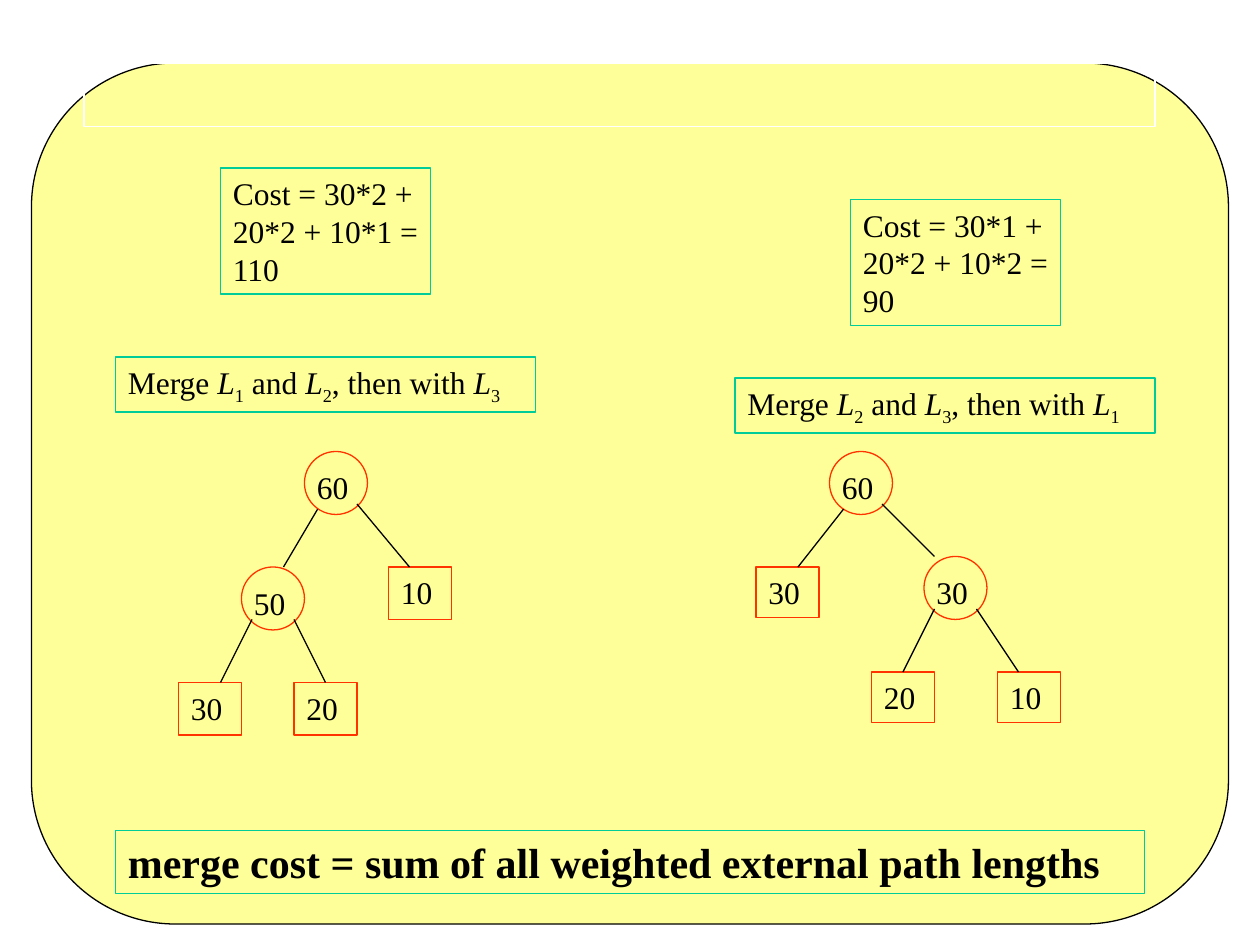
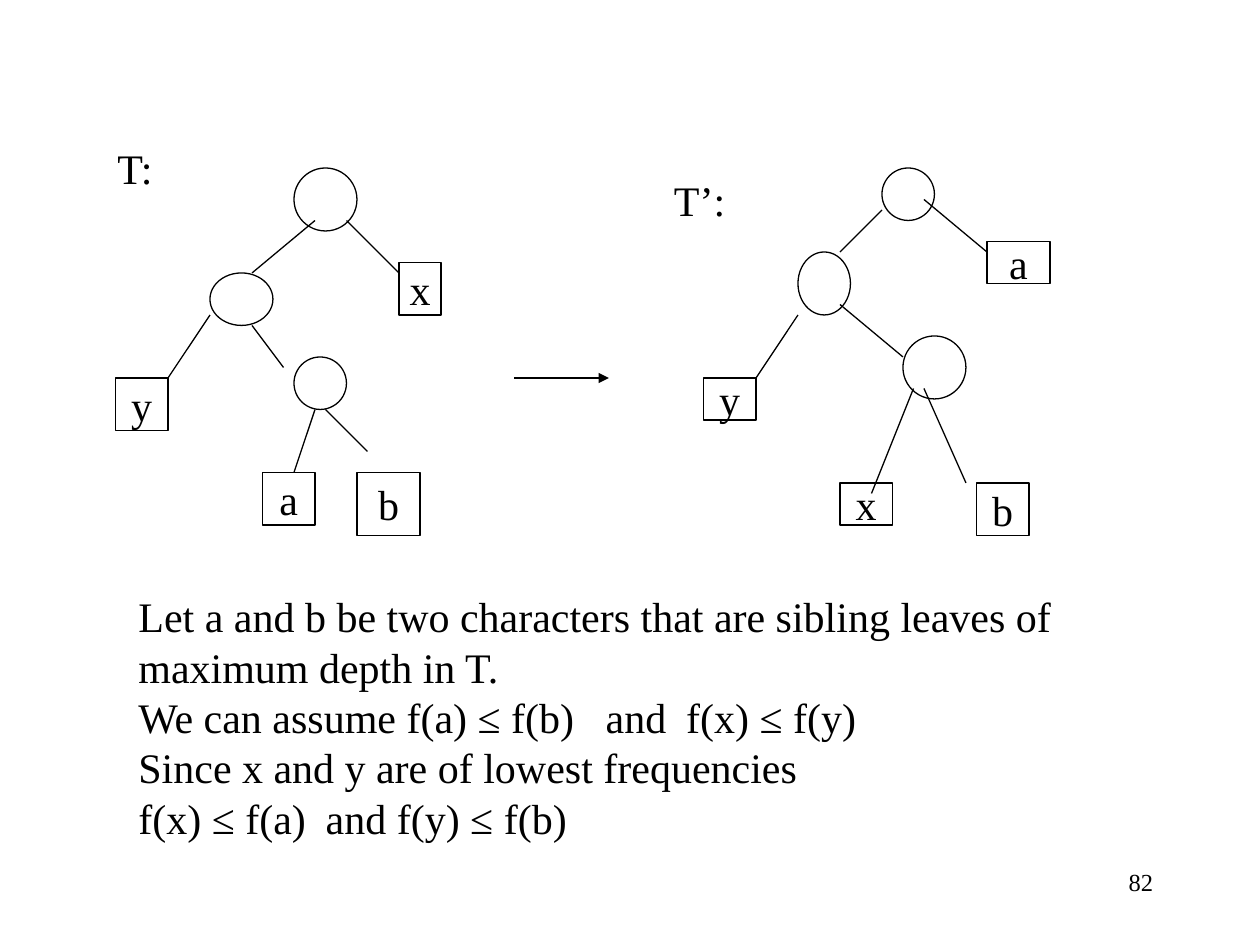
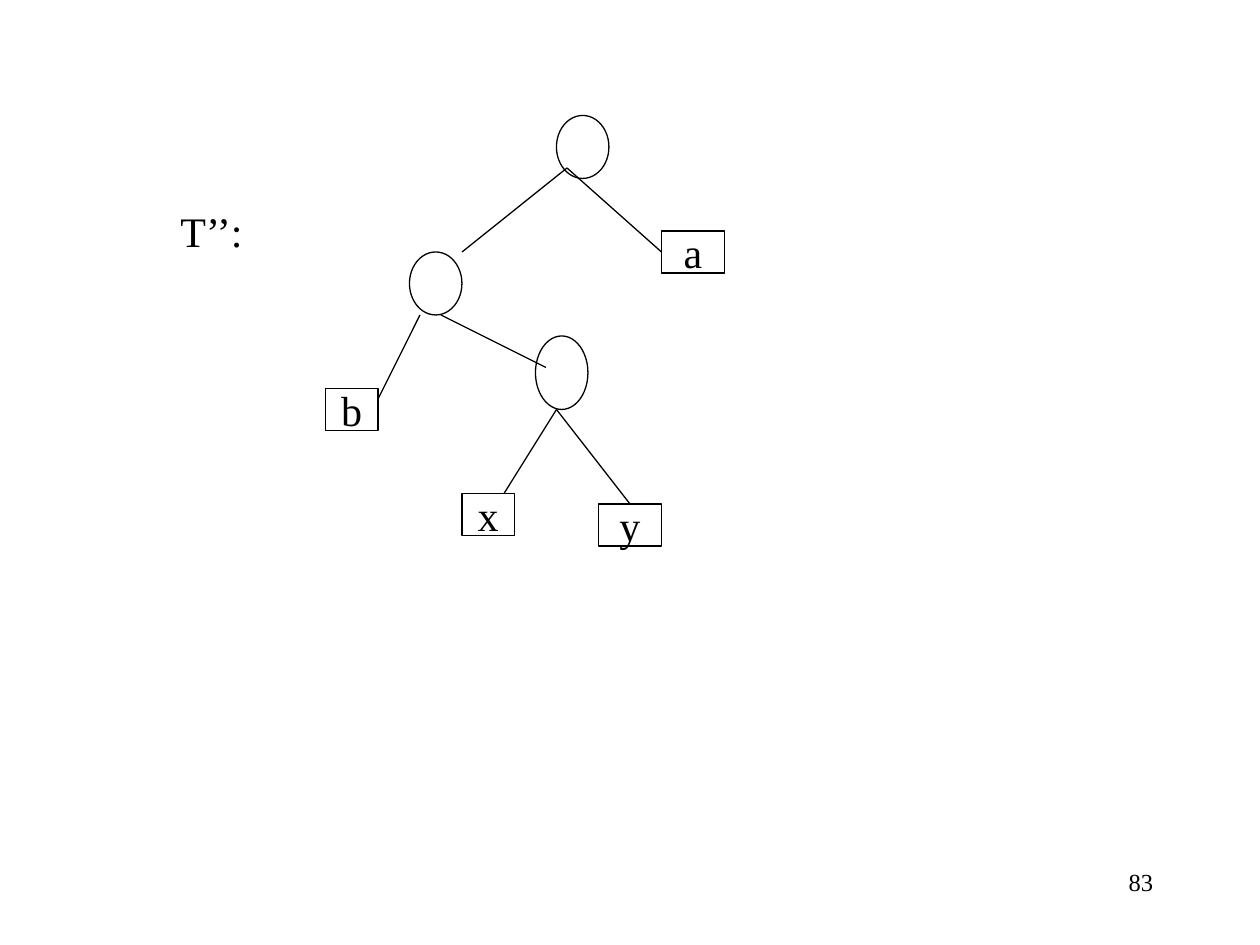
from lxml import etree
from pptx import Presentation
from pptx.dml.color import RGBColor
from pptx.enum import shapes, text
from pptx.oxml import ns
from pptx.util import Pt

COLORS = {"ink": "000000", "paper": "FFFFFF", "panel": "FFFF99",
          "node": "FF3300", "note": "00CC99"}
FONT = "Times New Roman"
RECT = shapes.MSO_SHAPE.RECTANGLE
OVAL = shapes.MSO_SHAPE.OVAL
ROUND = shapes.MSO_SHAPE.ROUNDED_RECTANGLE
LEFT, CENTER, RIGHT = text.PP_ALIGN.LEFT, text.PP_ALIGN.CENTER, text.PP_ALIGN.RIGHT
TOP, MIDDLE = text.MSO_ANCHOR.TOP, text.MSO_ANCHOR.MIDDLE


def rgb(name):
    """Look up a named colour."""
    return RGBColor.from_string(COLORS[name])


def put_text(sp, *paras, size=18, bold=False, align=LEFT, anchor=TOP, wrap=True, tabs=()):
    """Fill a shape with paragraphs, each a string or a list of (text, style) runs."""
    tf = sp.text_frame
    tf.word_wrap, tf.vertical_anchor = wrap, anchor
    for i, para in enumerate(paras):
        p = tf.paragraphs[0] if i == 0 else tf.add_paragraph()
        p.alignment = align
        for words, style in [(para, "")] if isinstance(para, str) else para:
            r = p.add_run()
            r.text = words
            r.font.name, r.font.size, r.font.bold = FONT, Pt(size), bold
            r.font.color.rgb = rgb("ink")
            r.font.italic = style == "italic"
            if style == "sub":
                r.font._element.set("baseline", "-25000")
        if "\t" in p.text:
            stops = etree.SubElement(p._p.get_or_add_pPr(), ns.qn("a:tabLst"))
            for stop in tabs:
                etree.SubElement(stops, ns.qn("a:tab"), pos=str(Pt(stop)), algn="l")


def add_box(s, kind, x, y, w, h, line="ink", fill=None):
    """Add an outlined preset shape, unfilled unless a fill is named."""
    sp = s.shapes.add_shape(kind, Pt(x), Pt(y), Pt(w), Pt(h))
    sp.shadow.inherit = False
    sp.line.color.rgb, sp.line.width = rgb(line), Pt(0.75)
    if fill:
        sp.fill.solid()
        sp.fill.fore_color.rgb = rgb(fill)
    else:
        sp.fill.background()
    return sp


def add_label(s, x, y, w, h, *paras, **fmt):
    """Add a plain text box."""
    put_text(s.shapes.add_textbox(Pt(x), Pt(y), Pt(w), Pt(h)), *paras, **fmt)


def add_line(s, x1, y1, x2, y2, arrow=False):
    """Add a thin straight connector, with an optional arrowhead at its end."""
    c = s.shapes.add_connector(shapes.MSO_CONNECTOR.STRAIGHT, Pt(x1), Pt(y1), Pt(x2), Pt(y2))
    c.line.color.rgb, c.line.width = rgb("ink"), Pt(0.75)
    if arrow:
        etree.SubElement(c.line._get_or_add_ln(), ns.qn("a:tailEnd"), type="triangle")
    etree.SubElement(c._element.spPr, ns.qn("a:effectLst"))
    return c


def add_tree(s, left, top, circles, leaves, edges, line="ink", fill="paper", **fmt):
    """Draw a binary tree at a corner, joining edges that end mid-side on a leaf."""
    sites = {}
    for x, y, w, h, *name in circles:
        add_box(s, OVAL, left + x, top + y, w, h, line, fill)
        if name:
            add_label(s, left + x, top + y + 6, w, h - 7, *name, **fmt)
    for x, y, w, h, name in leaves:
        sp = add_box(s, RECT, left + x, top + y, w, h, line, fill)
        put_text(sp, name, **fmt)
        mids = [(x + w / 2, y), (x, y + h / 2), (x + w / 2, y + h), (x + w, y + h / 2)]
        sites.update({mid: (sp, i) for i, mid in enumerate(mids)})
    for x1, y1, x2, y2 in edges:
        c = add_line(s, left + x1, top + y1, left + x2, top + y2)
        if (x2, y2) in sites:
            c.end_connect(*sites[x2, y2])


def add_cost_tree(s, left, top, circles, leaves, edges, leaf_h):
    """Draw a weighted tree whose nodes share one size."""
    add_tree(s, left, top, [(x, y, 36, 36, n) for x, y, n in circles],
             [(x, y, 36, leaf_h, n) for x, y, n in leaves], edges, line="node", fill=None)


def add_proof_tree(s, left, top, circles, leaves, edges):
    """Draw a tree with empty inner nodes and centred leaf letters."""
    add_tree(s, left, top, circles, leaves, edges,
             size=24, align=CENTER, anchor=MIDDLE, wrap=False)


def add_note(s, x, y, w, h, para, **fmt):
    """Add a green-framed note."""
    put_text(add_box(s, RECT, x, y, w, h, "note"), para, **fmt)


def merge_order(first, second, last):
    """Return the runs that describe a merge order."""
    runs = []
    for lead, index in (("Merge ", first), (" and ", second), (", then with ", last)):
        runs += [(lead, ""), ("L", "italic"), (index, "sub")]
    return runs


def add_page_number(s, number):
    """Write the slide number at the lower right."""
    add_label(s, 516, 492, 150, 36, number, size=14, align=RIGHT)


def merge_cost_slide(s):
    """Compare the costs of two merge orders."""
    panel = add_box(s, ROUND, 18, 36, 684, 492, fill="panel")
    panel.adjustments[0] = 0.167
    add_box(s, RECT, 48, 36, 612, 36.5, "paper")
    add_cost_tree(s, 102, 258,
                  [(72, 0, "60"), (36, 66, "50")],
                  [(0, 132, "30"), (66, 132, "20"), (120, 66, "10")],
                  [(42, 96, 24, 132), (66, 96, 84, 132),
                   (79.5, 33, 60, 66), (102, 30, 132, 66)], 30)
    add_cost_tree(s, 432, 258,
                  [(42, 0, "60"), (96, 60, "30")],
                  [(0, 66, "30"), (66, 126, "20"), (138, 126, "10")],
                  [(102, 90, 84, 126), (126, 90, 150, 126),
                   (50, 33, 24, 66), (72, 30, 102, 60)], 29)
    add_note(s, 66, 204, 240, 31.5, merge_order("1", "2", "3"))
    add_note(s, 420, 216, 240, 31.5, merge_order("2", "3", "1"))
    add_note(s, 126, 96, 120, 72, "Cost = 30*2 + 20*2 + 10*1 = 110")
    add_note(s, 486, 114, 120, 72, "Cost = 30*1 + 20*2 + 10*2 = 90")
    add_note(s, 66, 474.5, 588, 36,
             "merge cost = sum of all weighted external path lengths", size=24, bold=True)


def first_swap_slide(s):
    """Show trees T and T’ with the argument below."""
    add_page_number(s, "82")
    add_label(s, 60, 78, 36, 36, "T:", size=24)
    add_proof_tree(s, 60, 78,
                   [(108, 18, 36, 36), (60, 78, 36, 30), (108, 126, 30, 30)],
                   [(6, 138, 30, 30, "y"), (90, 192, 30, 30, "a"),
                    (144, 192, 36, 36, "b"), (168, 72, 24, 30, "x")],
                   [(120, 48, 84, 78), (60, 102, 36, 138), (84, 108, 102, 132),
                    (120, 156, 108, 192), (126, 156, 150, 180), (138, 48, 168, 78)])
    add_line(s, 294, 216, 348, 216, arrow=True)
    add_label(s, 378, 96, 54, 36, "T’:", size=24)
    add_proof_tree(s, 378, 96,
                   [(126, 0, 30, 30), (78, 48, 30, 36), (138, 96, 36, 36)],
                   [(24, 120, 30, 24, "y"), (102, 180, 30, 24, "x"),
                    (180, 180, 30, 30, "b"), (186, 42, 36, 24, "a")],
                   [(126, 24, 102, 48), (150, 18, 186, 48), (78, 84, 54, 120),
                    (102, 78, 138, 108), (144, 126, 120, 186), (150, 126, 174, 180)])
    add_label(s, 72, 334, 600, 152,
              "Let a and b be two characters that are sibling leaves of maximum depth in T.",
              "We can assume f(a) ≤ f(b)\tand\tf(x) ≤ f(y)",
              "Since x and y are of lowest frequencies",
              "f(x) ≤ f(a)\tand f(y) ≤ f(b)",
              size=24, tabs=(107, 267, 313))


def second_swap_slide(s):
    """Show tree T’’."""
    add_page_number(s, "83")
    add_label(s, 96, 114, 54, 36, "T’’:", size=24)
    add_proof_tree(s, 96, 66,
                   [(222, 0, 30, 36), (138, 78, 30, 36), (210, 126, 30, 42)],
                   [(282, 66, 36, 24, "a"), (90, 156, 30, 24, "b"),
                    (168, 216, 30, 24, "x"), (246, 222, 36, 24, "y")],
                   [(228, 30, 168, 78), (228, 30, 282, 78), (144, 114, 120, 162),
                    (156, 114, 216, 144), (222, 168, 192, 216), (222, 168, 264, 222)])


def main():
    """Build and save the three slides."""
    prs = Presentation()
    prs.slide_width, prs.slide_height = Pt(720), Pt(540)
    for build in (merge_cost_slide, first_swap_slide, second_swap_slide):
        build(prs.slides.add_slide(prs.slide_layouts[6]))
    prs.save("out.pptx")


if __name__ == "__main__":
    main()
